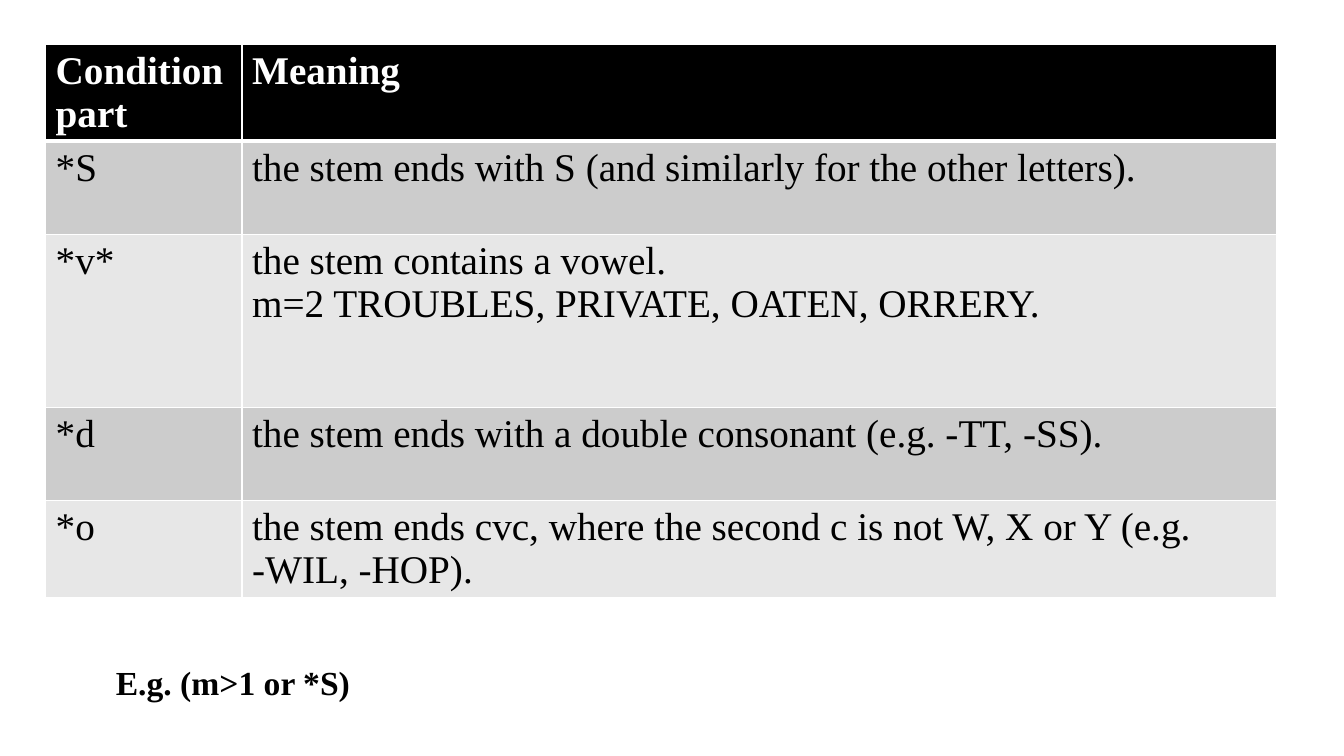
from lxml.etree import SubElement
from pptx import Presentation
from pptx.dml.color import RGBColor
from pptx.oxml.ns import qn
from pptx.util import Cm, Pt

FONT = "Times New Roman"
BLACK, WHITE = "000000", "FFFFFF"
BANDS = ["CCCCCC", "E7E7E7"]

COLUMN_WIDTHS = [4.95, 26.06]
ROW_HEIGHTS = [2.4, 2.34, 4.37, 2.34, 2.4]

# Each cell is a list of paragraphs
CONDITIONS = [
    (["Condition part"], ["Meaning"]),
    (["*S"], ["the stem ends with S (and similarly for the other letters)."]),
    (["*v*"], ["the stem contains a vowel.",
               "m=2 TROUBLES, PRIVATE, OATEN, ORRERY."]),
    (["*d"], ["the stem ends with a double consonant (e.g. -TT, -SS)."]),
    (["*o"], ["the stem ends cvc, where the second c is not W, X or Y "
              "(e.g. -WIL, -HOP)."]),
]


def color(hex_string):
    return RGBColor.from_string(hex_string)


def add_text(text_frame, lines, size, hex_color, bold):
    text_frame.word_wrap = True
    for index, line in enumerate(lines):
        paragraph = text_frame.add_paragraph() if index else text_frame.paragraphs[0]
        run = paragraph.add_run()
        run.text = line
        run.font.name = FONT
        run.font.size = Pt(size)
        run.font.bold = bold
        run.font.color.rgb = color(hex_color)


def add_borders(cell, widths):
    properties = cell._tc.get_or_add_tcPr()
    for side, width in widths.items():
        line = SubElement(properties, qn(f"a:ln{side}"), w=str(Pt(width)))
        fill = SubElement(line, qn("a:solidFill"))
        SubElement(fill, qn("a:srgbClr"), val=WHITE)


def fill_cell(cell, lines, row):
    header = row == 0
    # The rule below the header is thicker than the others
    add_borders(cell, {"L": 1, "R": 1, "T": 3 if row == 1 else 1, "B": 3 if header else 1})
    cell.fill.solid()
    cell.fill.fore_color.rgb = color(BLACK if header else BANDS[(row - 1) % 2])
    add_text(cell.text_frame, lines, 28, WHITE if header else BLACK, header)


def add_condition_table(slide, left, top):
    shape = slide.shapes.add_table(
        len(ROW_HEIGHTS), len(COLUMN_WIDTHS), Cm(left), Cm(top),
        Cm(sum(COLUMN_WIDTHS)), Cm(sum(ROW_HEIGHTS)))
    table = shape.table
    for column, width in zip(table.columns, COLUMN_WIDTHS):
        column.width = Cm(width)
    for row, height in zip(table.rows, ROW_HEIGHTS):
        row.height = Cm(height)
    for row, cells in enumerate(CONDITIONS):
        for column, lines in enumerate(cells):
            fill_cell(table.cell(row, column), lines, row)


def add_example(slide, text, left, top, width, height):
    shape = slide.shapes.add_textbox(Cm(left), Cm(top), Cm(width), Cm(height))
    add_text(shape.text_frame, [text], 24, BLACK, True)


def main():
    presentation = Presentation()
    presentation.slide_width = Cm(33.87)
    presentation.slide_height = Cm(19.05)
    slide = presentation.slides.add_slide(presentation.slide_layouts[6])

    # Meaning of each condition
    add_condition_table(slide, 1.15, 1.12)

    # Example below the table
    add_example(slide, "E.g. (m>1 or *S)", 2.67, 16.56, 28.93, 1.28)

    presentation.save("out.pptx")


if __name__ == "__main__":
    main()
